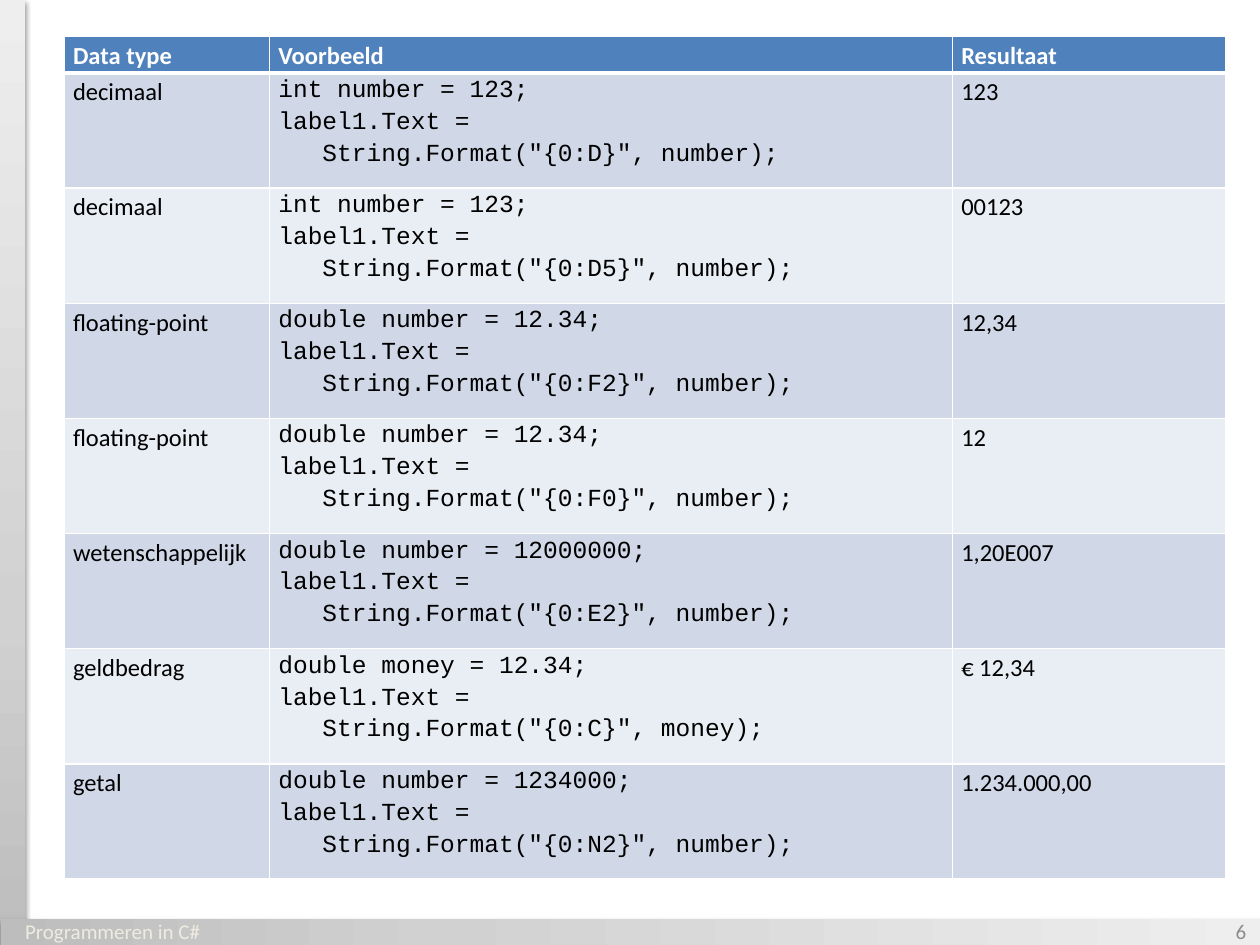
"""Build the slide with C# number formats and their results."""
import copy

import lxml.etree
import pptx
import pptx.dml.color
import pptx.enum.shapes
import pptx.enum.text
import pptx.oxml.ns
import pptx.util

Inches = pptx.util.Inches
Pt = pptx.util.Pt
RGBColor = pptx.dml.color.RGBColor
qn = pptx.oxml.ns.qn
Align = pptx.enum.text.PP_ALIGN
Anchor = pptx.enum.text.MSO_ANCHOR

WHITE = RGBColor(0xFF, 0xFF, 0xFF)
BLACK = RGBColor(0x00, 0x00, 0x00)
HEADER_BLUE = RGBColor(0x4F, 0x81, 0xBD)
BANDS = [RGBColor(0xD0, 0xD8, 0xE8), RGBColor(0xE9, 0xED, 0xF4)]
FOOTER_CREAM = RGBColor(0xEE, 0xEC, 0xE1)
NUMBER_GREY = RGBColor(0x8C, 0x8C, 0x8C)
BAR_STOPS = [
    (0, RGBColor(0xBD, 0xBD, 0xBD)),
    (0.35, RGBColor(0xD1, 0xD1, 0xD1)),
    (1, RGBColor(0xEE, 0xEE, 0xEE)),
]


def write(frame, text, size=14, font="Calibri", color=BLACK, bold=False,
          align=Align.LEFT, spacing=None):
    paragraph = frame.paragraphs[0]
    paragraph.text = text
    paragraph.alignment = align
    paragraph.line_spacing = spacing
    for run in paragraph.runs:
        run.font.size = Pt(size)
        run.font.name = font
        run.font.bold = bold
        run.font.color.rgb = color
    for line_break in paragraph._p.findall(qn("a:br")):
        line_break.append(copy.deepcopy(paragraph.runs[0].font._element))


def add_border(cell, side, width, position):
    line = lxml.etree.Element(qn(f"a:ln{side}"), w=str(Pt(width)))
    fill = lxml.etree.SubElement(line, qn("a:solidFill"))
    lxml.etree.SubElement(fill, qn("a:srgbClr"), val=str(WHITE))
    cell._tc.get_or_add_tcPr().insert(position, line)


presentation = pptx.Presentation()
presentation.slide_width = Inches(10)
presentation.slide_height = Inches(7.5)
slide = presentation.slides.add_slide(presentation.slide_layouts[6])

for left, top, width, height, rotation in [
    (0, 0, 0.2, 7.5, 0),
    (4.9, 2.4, 0.21, 10, 90),
]:
    bar = slide.shapes.add_shape(
        pptx.enum.shapes.MSO_SHAPE.RECTANGLE,
        Inches(left), Inches(top), Inches(width), Inches(height))
    bar.rotation = rotation
    bar.line.fill.background()
    bar.fill.gradient()
    bar.fill.gradient_angle = 90
    stop_list = bar._element.spPr.find(".//" + qn("a:gsLst"))
    stop_list.append(copy.deepcopy(stop_list[-1]))
    for stop, (position, color) in zip(bar.fill.gradient_stops, BAR_STOPS):
        stop.position = position
        stop.color.rgb = color
    bar.shadow.inherit = False
    shadow = lxml.etree.SubElement(
        bar._element.spPr.find(qn("a:effectLst")), qn("a:outerShdw"),
        blurRad=str(Pt(3.1)), dist=str(Pt(1.6)), dir="5400000", rotWithShape="0")
    shade = lxml.etree.SubElement(shadow, qn("a:srgbClr"), val=str(BLACK))
    lxml.etree.SubElement(shade, qn("a:alpha"), val="38000")

headings = ("Data type", "Voorbeeld", "Resultaat")
examples = [
    ("decimaal", "int", "number", "123", "D", "123"),
    ("decimaal", "int", "number", "123", "D5", "00123"),
    ("floating-point", "double", "number", "12.34", "F2", "12,34"),
    ("floating-point", "double", "number", "12.34", "F0", "12"),
    ("wetenschappelijk", "double", "number", "12000000", "E2", "1,20E007"),
    ("geldbedrag", "double", "money", "12.34", "C", "€ 12,34"),
    ("getal", "double", "number", "1234000", "N2", "1.234.000,00"),
]
rows = [headings]
for data_type, keyword, variable, value, code, result in examples:
    snippet = (f"{keyword} {variable} = {value};\n"
               "label1.Text = \n"
               f'   String.Format("{{0:{code}}}", {variable});')
    rows.append((data_type, snippet, result))

formats = slide.shapes.add_table(
    len(rows), len(headings),
    Inches(0.51), Inches(0.29), Inches(9.22), Inches(6.69)).table
for column, width in zip(formats.columns, (1.63, 5.42, 2.17)):
    column.width = Inches(width)

for row_index, texts in enumerate(rows):
    is_header = row_index == 0
    formats.rows[row_index].height = Inches(0.29 if is_header else 0.914)
    for column_index, text in enumerate(texts):
        cell = formats.cell(row_index, column_index)
        cell.margin_left = cell.margin_right = Inches(0.07)
        cell.margin_top = cell.margin_bottom = 0
        cell.fill.solid()
        cell.fill.fore_color.rgb = (
            HEADER_BLUE if is_header else BANDS[(row_index - 1) % 2])
        is_code = column_index == 1 and not is_header
        write(cell.text_frame, text, spacing=1.15, bold=is_header,
              font="Courier New" if is_code else "Calibri",
              color=WHITE if is_header else BLACK)
        edges = {"L": 1, "R": 1, "T": 3 if row_index == 1 else 1,
                 "B": 3 if is_header else 1}
        for position, (side, width) in enumerate(edges.items()):
            add_border(cell, side, width, position)

for left, width, text, color, align in [
    (-0.69, 3.17, "Programmeren in C#", FOOTER_CREAM, Align.CENTER),
    (7.66, 2.33, "6", NUMBER_GREY, Align.RIGHT),
]:
    footer = slide.shapes.add_textbox(
        Inches(left), Inches(7.19), Inches(width), Inches(0.4)).text_frame
    footer.word_wrap = True
    footer.vertical_anchor = Anchor.MIDDLE
    write(footer, text, size=12, color=color, align=align)

presentation.save("out.pptx")
